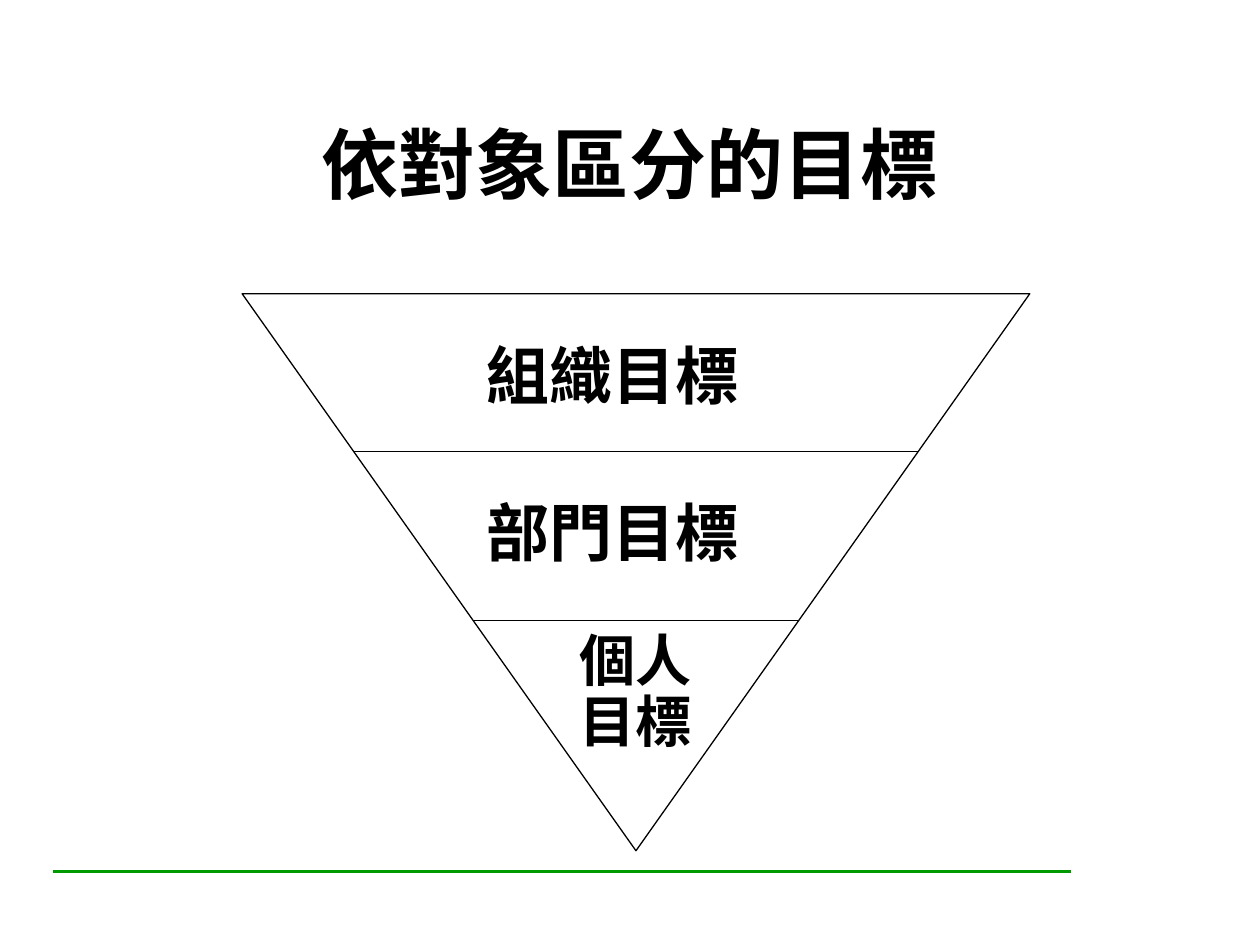
from lxml.etree import SubElement
from pptx import Presentation
from pptx.dml.color import RGBColor
from pptx.enum.shapes import MSO_CONNECTOR as Connector, MSO_SHAPE as Shape
from pptx.enum.text import MSO_ANCHOR as Anchor, MSO_AUTO_SIZE as AutoSize, PP_ALIGN as Align
from pptx.oxml.ns import qn
from pptx.util import Cm, Pt

COLORS = {"ink": "000000", "rule": "009900"}
ASIAN_FONT = "Noto Sans CJK SC"
LEFT, TOP, WIDTH, HEIGHT = 4.88, 5.92, 15.88, 11.23
CENTER = LEFT + WIDTH / 2


def write_text(frame, text, size, font="Times New Roman", align=Align.LEFT, spacing=None, before=0):
    """Fill a text frame with one bold paragraph per line of text."""
    for index, line in enumerate(text.split("\n")):
        para = frame.add_paragraph() if index else frame.paragraphs[0]
        para.alignment = align
        para.space_before = Pt(before if index else 0)
        if spacing:
            para.line_spacing = spacing
        span = para.add_run()
        span.text = line
        span.font.size = Pt(size)
        span.font.bold = True
        span.font.name = font
        span.font.color.rgb = RGBColor.from_string(COLORS["ink"])
        SubElement(span.font._element, qn("a:ea"), typeface=ASIAN_FONT)


def add_title(page, text):
    """Place and format the title placeholder."""
    title = page.shapes.title
    title.left, title.top, title.width, title.height = Cm(2.06), Cm(1.85), Cm(21.28), Cm(2.87)
    title.text_frame.auto_size = AutoSize.NONE
    title.text_frame.vertical_anchor = Anchor.MIDDLE
    write_text(title.text_frame, text, 44, font=ASIAN_FONT, align=Align.CENTER)


def add_rule(shapes, left, right, top, color="ink", width=0.75):
    """Draw a horizontal line."""
    rule = shapes.add_connector(Connector.STRAIGHT, Cm(left), Cm(top), Cm(right), Cm(top))
    rule.line.color.rgb = RGBColor.from_string(COLORS[color])
    rule.line.width = Pt(width)
    SubElement(rule._element.spPr, qn("a:effectLst"))


def add_triangle(shapes):
    """Draw an unfilled triangle that points down."""
    triangle = shapes.add_shape(Shape.ISOSCELES_TRIANGLE, Cm(LEFT), Cm(TOP), Cm(WIDTH), Cm(HEIGHT))
    triangle.rotation = 180
    triangle.shadow.inherit = False
    triangle.fill.background()
    triangle.line.color.rgb = RGBColor.from_string(COLORS["ink"])
    triangle.line.width = Pt(0.75)


def add_divider(shapes, top):
    """Draw a line from edge to edge of the triangle."""
    half = WIDTH / 2 * (TOP + HEIGHT - top) / HEIGHT
    add_rule(shapes, CENTER - half, CENTER + half, top)


def add_label(shapes, text, left, top, width, height, size, **style):
    """Add a wrapped text box for one level of the triangle."""
    box = shapes.add_textbox(Cm(left), Cm(top), Cm(width), Cm(height))
    box.text_frame.word_wrap = True
    box.text_frame.auto_size = AutoSize.SHAPE_TO_FIT_TEXT
    write_text(box.text_frame, text, size, **style)


def main():
    """Build the slide and save it."""
    deck = Presentation()
    deck.slide_width, deck.slide_height = Cm(25.4), Cm(19.05)
    page = deck.slides.add_slide(deck.slide_layouts[5])
    add_rule(page.shapes, 1.06, 21.59, 17.57, color="rule", width=1.5)
    add_title(page, "依對象區分的目標")

    pyramid = page.shapes.add_group_shape().shapes
    add_triangle(pyramid)
    for top in (9.1, 12.51):
        add_divider(pyramid, top)
    for text, top in (("組織目標", 6.65), ("部門目標", 9.83)):
        add_label(pyramid, text, 9.55, top, 8.08, 1.78, 36)
    add_label(pyramid, "個人\n目標", CENTER - 1.56, 12.9, 3.12, 2.5, 32,
              align=Align.CENTER, spacing=0.65, before=10)

    deck.save("out.pptx")


if __name__ == "__main__":
    main()
